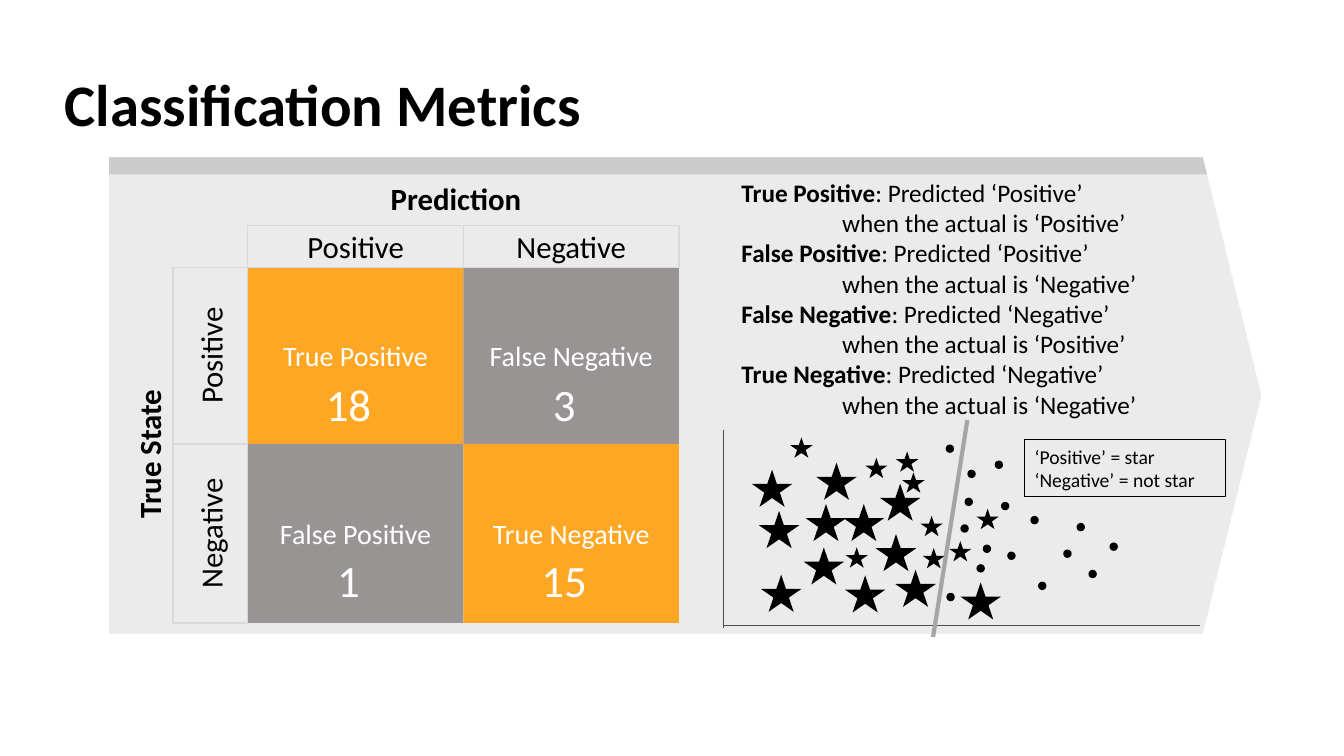
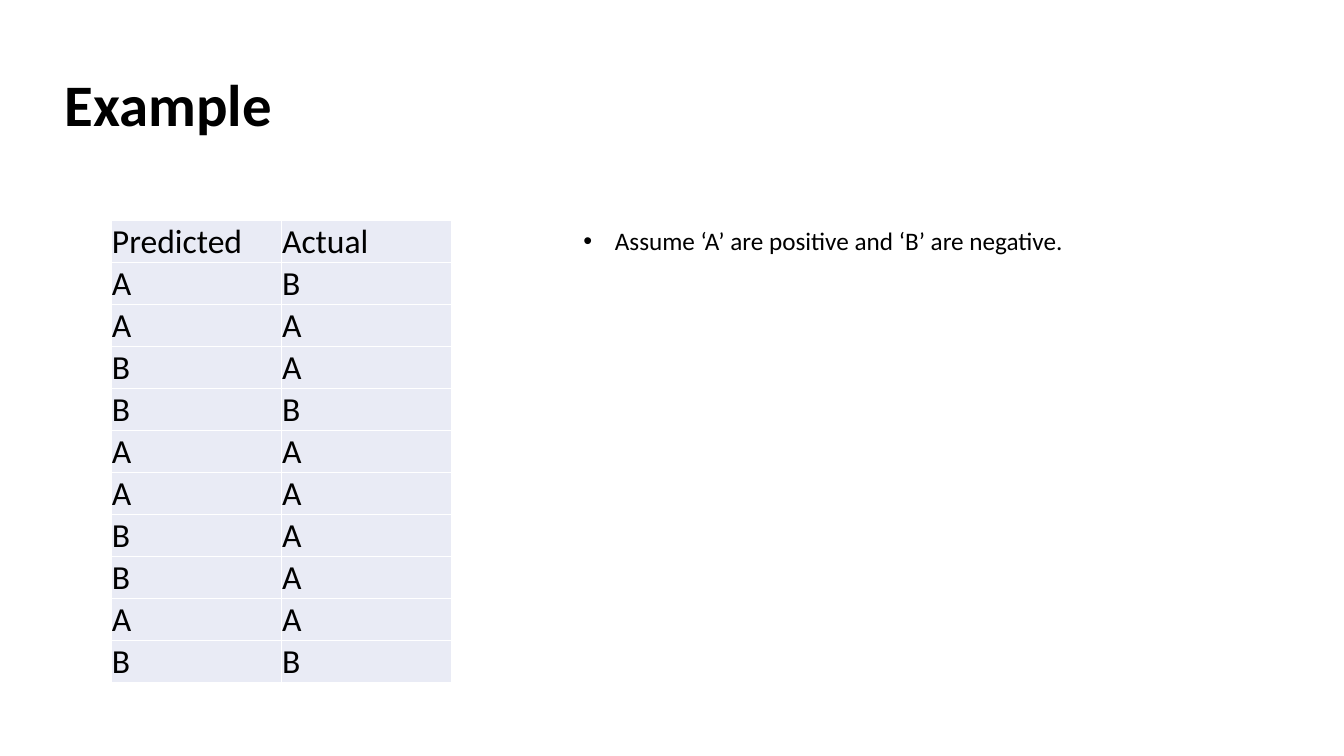
from dataclasses import dataclass
from itertools import product

from lxml.etree import SubElement as Sub
from pptx import Presentation
from pptx.dml.color import RGBColor as Rgb
from pptx.enum.shapes import MSO_CONNECTOR as Link, MSO_SHAPE as Kind
from pptx.enum.text import MSO_ANCHOR as Anchor, MSO_AUTO_SIZE as Fit, PP_ALIGN as Align
from pptx.oxml.ns import qn
from pptx.util import Pt


@dataclass(frozen=True)
class Theme:
    font: str = "Calibri"
    black: str = "000000"
    white: str = "FFFFFF"
    band: str = "CCCCCC"
    edge: str = "D9D9D9"
    hit: str = "FFA725"
    miss: str = "989494"
    axis: str = "51504F"
    split: str = "A5A5A5"
    cell: str = "E9EBF5"
    title: float = 42
    count: float = 32
    table: float = 24
    head: float = 22
    label: float = 20
    body: float = 18
    note: float = 14


@dataclass(frozen=True)
class Box:
    x: float
    y: float
    w: float
    h: float

    def lengths(self) -> tuple:
        return Pt(self.x), Pt(self.y), Pt(self.w), Pt(self.h)

    def turned(self) -> "Box":
        """Box that fills this one once rotated by a quarter turn."""
        mid_x, mid_y = self.x + self.w / 2, self.y + self.h / 2
        return Box(mid_x - self.h / 2, mid_y - self.w / 2, self.h, self.w)


@dataclass(frozen=True)
class Para:
    text: str
    lead: str = ""  # bold opening words
    left: float = 0
    hang: float = 0


@dataclass(frozen=True)
class Cell:
    name: str
    count: int
    fill: str


@dataclass(frozen=True)
class Mark:
    kind: Kind
    w: float
    h: float
    spots: tuple


T = Theme()
TITLE = Box(39, 37.5, 828, 78.5)

# Confusion matrix: origin, column width, row heights
LEFT, TOP, WIDE = 177, 191, 154
TALL = (126, 128)
HEAD, SIDE = 30, 53.5
SIGNS = ("Positive", "Negative")
CELLS = (
    (Cell("True Positive", 18, T.hit), Cell("False Negative", 3, T.miss)),
    (Cell("False Positive", 1, T.miss), Cell("True Negative", 15, T.hit)),
)
TERMS = (
    ("True Positive", "Positive", "Positive"),
    ("False Positive", "Positive", "Negative"),
    ("False Negative", "Negative", "Positive"),
    ("True Negative", "Negative", "Negative"),
)

# Scatter plot: top left corners of the marks
MARKS = (
    Mark(Kind.STAR_5_POINT, 29, 26.5, (
        (537, 335.5), (542, 365), (574, 391), (543.5, 410.5), (575.5, 360),
        (603.5, 411), (639.5, 407), (583, 330.5), (602.5, 360),
        (625.5, 381.5), (628.5, 345.5), (686, 416))),
    Mark(Kind.STAR_5_POINT, 16, 14.5, (
        (640, 322.5), (657.5, 368.5), (678, 386.5), (604, 391),
        (564.5, 312.5), (659, 391.5), (618, 327), (644.5, 337.5),
        (697.5, 363.5))),
    Mark(Kind.FLOWCHART_CONNECTOR, 6, 6, (
        (736, 368.5), (686, 374.5), (689, 355.5), (702, 389), (676, 423.5),
        (675.5, 317.5), (710.5, 329), (769, 373.5), (759.5, 392.5),
        (741.5, 415.5), (719.5, 394), (697.5, 403), (715, 358.5),
        (777.5, 407), (691, 335.5), (792.5, 387.5))),
)

# Predicted and actual class of each sample
PAIRS = ("AB", "AA", "BA", "BB", "AA", "AA", "BA", "BA", "AA", "BB")


def tint(code: str) -> Rgb:
    return Rgb.from_string(code)


def write(frame, *paras, size: float = T.body, color: str = T.black, bold: bool = False,
          align=Align.LEFT, anchor=Anchor.TOP, wrap: bool = True, pitch: float = 1) -> None:
    """Fill a text frame with strings or Para items."""
    frame.auto_size = Fit.NONE
    frame.word_wrap = wrap
    frame.vertical_anchor = anchor
    for i, item in enumerate(paras):
        para = item if isinstance(item, Para) else Para(item)
        p = frame.paragraphs[0] if i == 0 else frame.add_paragraph()
        p.alignment, p.line_spacing = align, pitch
        p.space_before = p.space_after = Pt(0)
        if para.left:
            props = p._p.get_or_add_pPr()
            props.set("marL", str(Pt(para.left)))
            props.set("indent", str(Pt(-para.hang)))
        for text, strong in ((para.lead, True), (para.text, bold)):
            if text:
                run = p.add_run()
                run.text = text
                font = run.font
                font.name, font.size, font.bold = T.font, Pt(size), strong
                font.color.rgb = tint(color)


def shape(slide, kind: Kind, box: Box, fill: str = "", line: str = "", width: float = 1):
    item = slide.shapes.add_shape(kind, *box.lengths())
    item.shadow.inherit = False
    if fill:
        item.fill.solid()
        item.fill.fore_color.rgb = tint(fill)
    else:
        item.fill.background()
    if line:
        item.line.color.rgb = tint(line)
        item.line.width = Pt(width)
    else:
        item.line.fill.background()
    return item


def label(slide, box: Box, text: str, size: float, color: str = T.black,
          turn: bool = False, **look) -> None:
    """Rectangle with a centred text, upright or turned."""
    item = shape(slide, Kind.RECTANGLE, box.turned() if turn else box, **look)
    item.rotation = 270 if turn else 0
    write(item.text_frame, text, size=size, color=color, align=Align.CENTER,
          anchor=Anchor.MIDDLE)


def note(slide, box: Box, *paras, turn: bool = False, **look) -> None:
    item = slide.shapes.add_textbox(*box.lengths())
    item.rotation = 270 if turn else 0
    write(item.text_frame, *paras, **look)


def rule(slide, start: tuple, end: tuple, color: str, width: float) -> None:
    ends = [Pt(v) for v in start + end]
    item = slide.shapes.add_connector(Link.STRAIGHT, *ends)
    item.line.color.rgb = tint(color)
    item.line.width = Pt(width)
    Sub(item._element.spPr, qn("a:effectLst"))


def place(item, box: Box) -> None:
    item.left, item.top, item.width, item.height = box.lengths()


def start(deck, layout: int, title: str):
    """New slide with the shared title style."""
    slide = deck.slides.add_slide(deck.slide_layouts[layout])
    place(slide.shapes.title, TITLE)
    write(slide.shapes.title.text_frame, title, size=T.title, bold=True,
          anchor=Anchor.MIDDLE, pitch=0.9)
    return slide


def panel(slide) -> None:
    back = shape(slide, Kind.PENTAGON, Box(75.5, 110, 828, 345), T.band, T.white, 4.5)
    back.adjustments[0] = 0.123
    veil = shape(slide, Kind.PENTAGON, Box(43, 124.5, 860.5, 330.5), T.white)
    veil.adjustments[0] = 0.056
    paint = veil._element.spPr.find(qn("a:solidFill"))[0]
    Sub(paint, qn("a:alpha"), val="62000")


def matrix(slide) -> None:
    tops = (TOP, TOP + TALL[0])
    for row, col in product(range(2), range(2)):
        cell, x, y = CELLS[row][col], LEFT + col * WIDE, tops[row]
        label(slide, Box(x, y, WIDE, TALL[row]), cell.name, T.label, T.white, fill=cell.fill)
        note(slide, Box(x + 45.5, y + 74.5, 53, 46), str(cell.count),
             size=T.count, color=T.white, align=Align.CENTER)
    for i, sign in enumerate(SIGNS):
        label(slide, Box(LEFT + i * WIDE, TOP - HEAD, WIDE, HEAD), sign, T.head, line=T.edge)
        label(slide, Box(LEFT - SIDE, tops[i], SIDE, TALL[i]), sign, T.head,
              turn=True, line=T.edge)
    note(slide, Box(272, 124.5, 112.5, 34), "Prediction", size=T.head, bold=True, wrap=False)
    note(slide, Box(47, 301, 119, 34), "True State", size=T.head, bold=True, wrap=False,
         turn=True)


def terms(slide) -> None:
    paras = []
    for name, said, real in TERMS:
        paras += [Para(f": Predicted ‘{said}’", lead=name),
                  Para(f"when the actual is ‘{real}’", left=72)]
    note(slide, Box(522.5, 123, 353, 201), *paras)


def plot(slide) -> None:
    key = shape(slide, Kind.RECTANGLE, Box(732, 314, 143.5, 41), line=T.black, width=0.75)
    write(key.text_frame, "‘Positive’ = star", "‘Negative’ = not star", size=T.note)
    rule(slide, (517, 448.5), (517, 307.5), T.axis, 0.5)
    rule(slide, (517, 447), (857, 447), T.axis, 0.5)
    for mark in MARKS:
        for x, y in mark.spots:
            shape(slide, mark.kind, Box(x, y, mark.w, mark.h), T.black)
    rule(slide, (691, 300), (666.5, 455), T.split, 3)


def border(cell) -> None:
    props = cell._tc.get_or_add_tcPr()
    for side in ("lnL", "lnR", "lnT", "lnB"):
        line = Sub(props, qn(f"a:{side}"), w=str(Pt(1)))
        Sub(Sub(line, qn("a:solidFill")), qn("a:srgbClr"), val=T.white)


def samples(slide) -> None:
    rows = [("Predicted", "Actual"), *PAIRS]
    box = Box(79.5, 157.5, 243, 30 * len(rows))
    table = slide.shapes.add_table(len(rows), 2, *box.lengths()).table
    table.first_row = table.horz_banding = False
    for i, row in enumerate(rows):
        for j, text in enumerate(row):
            cell = table.cell(i, j)
            border(cell)
            cell.fill.solid()
            cell.fill.fore_color.rgb = tint(T.cell)
            cell.margin_left = cell.margin_right = cell.margin_top = Pt(0.5)
            cell.margin_bottom = Pt(0)
            cell.vertical_anchor = Anchor.BOTTOM
            write(cell.text_frame, text, size=T.table, anchor=None)


def main() -> None:
    deck = Presentation()
    deck.slide_width, deck.slide_height = Pt(960), Pt(540)

    # Slide 1: confusion matrix, definitions and scatter plot
    slide = start(deck, 5, "Classification Metrics")
    panel(slide)
    matrix(slide)
    terms(slide)
    plot(slide)

    # Slide 2: sample table and assumption
    slide = start(deck, 1, "Example")
    samples(slide)
    body = slide.placeholders[1]
    place(body, Box(409.5, 157.5, 361.5, 29))
    write(body.text_frame, Para("Assume ‘A’ are positive and ‘B’ are negative.",
                                left=22.5, hang=22.5), wrap=False)

    deck.save("out.pptx")


if __name__ == "__main__":
    main()
